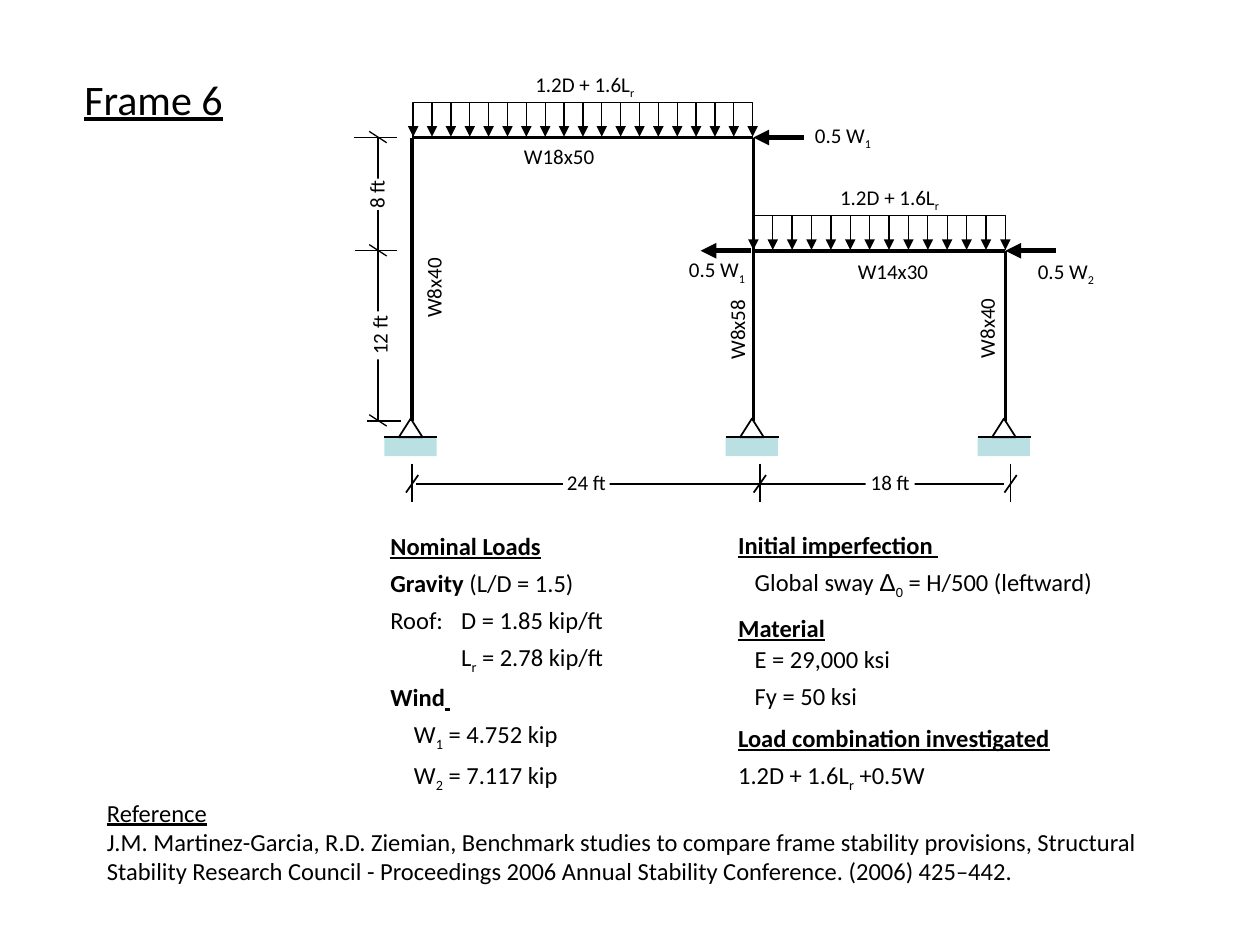
from lxml import etree
from pptx import Presentation
from pptx.dml.color import RGBColor
from pptx.enum import shapes, text
from pptx.oxml.ns import qn
from pptx.util import Pt

COLOURS = {"ink": "000000", "paper": "FFFFFF", "ground": "BBE0E3"}
FONT = "Calibri"
COLUMNS = {"left": 235.5, "middle": 430.5, "right": 574.5}
UPPER_ROOF, LOWER_ROOF, BASE = 78.6, 143.3, 240.5
LOAD_HEIGHT = 19.5
DIMENSION_X, DIMENSION_Y = 216, 276.5


def colour(name):
    return RGBColor.from_string(COLOURS[name])


def add_line(container, x1, y1, x2, y2, width, arrow=False):
    line = container.add_connector(
        shapes.MSO_CONNECTOR.STRAIGHT, Pt(x1), Pt(y1), Pt(x2), Pt(y2))
    line.line.color.rgb = colour("ink")
    line.line.width = Pt(width)
    if arrow:
        etree.SubElement(line.line._get_or_add_ln(), qn("a:tailEnd"), type="triangle")
    etree.SubElement(line._element.spPr, qn("a:effectLst"))
    return line


def add_shape(container, kind, left, top, width, height, fill=None, outline=None):
    shape = container.add_shape(kind, Pt(left), Pt(top), Pt(width), Pt(height))
    shape.shadow.inherit = False
    if fill:
        shape.fill.solid()
        shape.fill.fore_color.rgb = colour(fill)
    else:
        shape.fill.background()
    if outline:
        shape.line.color.rgb = colour("ink")
        shape.line.width = Pt(outline)
    else:
        shape.line.fill.background()
    return shape


def write_paragraph(paragraph, content, size, bold=None, underline=None, line=None,
                    before=None, after=None, indent=0, hanging=0):
    paragraph.font.name = FONT
    paragraph.font.size = Pt(size)
    paragraph.font.color.rgb = colour("ink")
    paragraph.font.bold = bold
    paragraph.font.underline = underline
    paragraph.line_spacing = line
    paragraph.space_before = None if before is None else Pt(before)
    paragraph.space_after = None if after is None else Pt(after)
    if indent:
        properties = paragraph._p.get_or_add_pPr()
        properties.set("marL", str(Pt(indent)))
        properties.set("indent", str(-Pt(hanging)))
    for part in content if isinstance(content, list) else [content]:
        words, style = part if isinstance(part, tuple) else (part, "")
        for index, piece in enumerate(words.split("_")):
            if not piece:
                continue
            run = paragraph.add_run()
            run.text = piece
            if index % 2:
                run.font._element.set("baseline", "-25000")
            if "bold" in style:
                run.font.bold = True
            if "underline" in style:
                run.font.underline = True
            if "symbol" in style:
                run.font.name = "Arial"


def add_text(slide, left, top, width, height, paragraphs, size=12, wrap=True,
             rotation=0, **common):
    box = slide.shapes.add_textbox(Pt(left), Pt(top), Pt(width), Pt(height))
    box.rotation = rotation
    frame = box.text_frame
    frame.word_wrap = wrap
    for index, (content, options) in enumerate(paragraphs):
        paragraph = frame.add_paragraph() if index else frame.paragraphs[0]
        write_paragraph(paragraph, content, size, **{**common, **options})


def add_label(slide, left, top, width, content, rotation=0):
    add_text(slide, left, top, width, 21.8, [(content, {})], wrap=False, rotation=rotation)


def add_dimension_label(slide, left, top, width, content, rotation=0):
    label = add_shape(slide.shapes, shapes.MSO_SHAPE.RECTANGLE,
                      left, top, width, 16, fill="paper")
    label.rotation = rotation
    frame = label.text_frame
    frame.margin_left = frame.margin_right = Pt(0.72)
    frame.margin_top = frame.margin_bottom = Pt(0.72)
    frame.paragraphs[0].alignment = text.PP_ALIGN.CENTER
    write_paragraph(frame.paragraphs[0], content, 12)


def add_title(slide, content):
    title = slide.shapes.title
    title.left, title.top, title.width, title.height = Pt(41), Pt(38.2), Pt(113), Pt(36.3)
    frame = title.text_frame
    frame.auto_size = text.MSO_AUTO_SIZE.NONE
    frame.vertical_anchor = text.MSO_ANCHOR.TOP
    frame.paragraphs[0].alignment = text.PP_ALIGN.LEFT
    write_paragraph(frame.paragraphs[0], content, 24, underline=True)


def add_dimensions(slide):
    add_line(slide.shapes, 237.6, DIMENSION_Y, 573.8, DIMENSION_Y, 1)
    for x in (235.5, 434.2, 577.5):
        add_line(slide.shapes, x, 265, x, 286.6, 1)
        add_line(slide.shapes, x + 3.5, DIMENSION_Y - 5, x - 3.5, DIMENSION_Y + 5, 1)
    add_line(slide.shapes, DIMENSION_X, UPPER_ROOF, DIMENSION_X, BASE, 0.75)
    for y, left, right in ((UPPER_ROOF, 202.5, 227), (LOWER_ROOF, 203, 227), (BASE, 209.5, 229)):
        add_line(slide.shapes, left, y, right, y, 0.75)
        add_line(slide.shapes, DIMENSION_X + 5, y + 3, DIMENSION_X - 5, y - 3.5, 0.75)
    add_dimension_label(slide, 321.8, 267.3, 26.6, "24 ft")
    add_dimension_label(slide, 494.6, 267.3, 28.1, "18 ft")
    add_dimension_label(slide, 203, 183.6, 27.4, "12 ft", 270)
    add_dimension_label(slide, 206, 103, 18, "8 ft ", 270)


def add_distributed_load(slide, left, right, roof, arrows):
    group = slide.shapes.add_group_shape().shapes
    top = roof - LOAD_HEIGHT - 0.5
    add_shape(group, shapes.MSO_SHAPE.RECTANGLE, left, top, right - left,
              LOAD_HEIGHT, outline=0.75)
    gap = (right - left) / (arrows - 1)
    for index in range(arrows):
        x = left + index * gap
        add_line(group, x, top, x, top + LOAD_HEIGHT, 0.75, arrow=True)


def add_support(container, x):
    add_shape(container, shapes.MSO_SHAPE.RECTANGLE, x - 15.8, 249.9, 29.8, 10.8, fill="ground")
    add_shape(container, shapes.MSO_SHAPE.ISOSCELES_TRIANGLE, x - 7.6, 239.2, 13.6, 10.7, outline=1)
    add_line(container, x - 15.8, 249.9, x + 14.4, 249.9, 1)


def add_frame(slide):
    group = slide.shapes.add_group_shape().shapes
    left, middle, right = COLUMNS.values()
    for x, roof in ((left, UPPER_ROOF), (middle, UPPER_ROOF), (right, LOWER_ROOF)):
        add_support(group, x)
        add_line(group, x, BASE, x, roof, 2)
    add_line(group, left, UPPER_ROOF, middle, UPPER_ROOF, 2)
    add_line(group, middle, LOWER_ROOF, right, LOWER_ROOF, 2)


def add_loads(slide):
    left, middle, right = COLUMNS.values()
    add_distributed_load(slide, left + 0.6, middle - 0.4, UPPER_ROOF, 19)
    add_distributed_load(slide, middle, right, LOWER_ROOF, 14)
    for tip, y in ((right, LOWER_ROOF), (400.4, LOWER_ROOF), (middle, UPPER_ROOF)):
        add_line(slide.shapes, tip + 28.8, y, tip, y, 3, arrow=True)
    for left, top in ((298.8, 36), (473, 100.8)):
        add_text(slide, left, top, 76.3, 22.7, [("1.2D + 1.6L_r_", {})], line=1.07, after=3)
    for left, top, content in ((586, 144, "0.5 W_2_"), (458.6, 66.2, "0.5 W_1_"),
                               (386.6, 143.3, "0.5 W_1_")):
        add_label(slide, left, top, 47.5, content)


def add_member_names(slide):
    for left, top, content in ((292.3, 78.5, "W18x50"), (483.1, 144, "W14x30")):
        add_label(slide, left, top, 55.4, content)
    for left, top, content in ((223.2, 153.4, "W8x40"), (396.7, 177.1, "W8x58"),
                               (539.3, 176.4, "W8x40")):
        add_label(slide, left, top, 49, content, 270)


def add_notes_below(slide):
    heading = {"bold": True, "underline": True}
    add_text(slide, 216, 298.8, 189.4, 157, [
        ("Nominal Loads", heading),
        ([("Gravity ", "bold"), "(L/D = 1.5)"], {}),
        ("Roof:\tD = 1.85 kip/ft ", {"indent": 40.5, "hanging": 40.5}),
        ("L_r_ = 2.78 kip/ft", {"indent": 40.5}),
        ([("Wind", "bold"), (" ", "bold underline")], {}),
        ("W_1_ = 4.752 kip", {"indent": 13.5}),
        ("W_2_ = 7.117 kip", {"indent": 13.5}),
    ], size=14, line=1.07, after=3)
    add_text(slide, 414.7, 298.1, 218.2, 159.8, [
        ("Initial imperfection ", {**heading, "before": 6}),
        (["Global sway ", ("Δ", "symbol"), "_0_ = H/500 (leftward)"],
         {"indent": 9.5, "after": 6}),
        ("Material", {**heading, "after": 0}),
        ("E = 29,000 ksi", {"indent": 9.5}),
        ("Fy = 50 ksi", {"indent": 9.5, "after": 6}),
        ("Load combination investigated", heading),
        ("1.2D + 1.6L_r_ +0.5W", {}),
    ], size=14, line=1.07, after=3)
    add_text(slide, 54, 452.2, 632.2, 58.3, [
        ("Reference", {"underline": True}),
        ("J.M. Martinez-Garcia, R.D. Ziemian, Benchmark studies to compare frame stability "
         "provisions, Structural Stability Research Council - Proceedings 2006 Annual "
         "Stability Conference. (2006) 425–442.", {}),
    ], size=14)


def main():
    presentation = Presentation()
    presentation.slide_width, presentation.slide_height = Pt(720), Pt(540)
    slide = presentation.slides.add_slide(presentation.slide_layouts[5])
    add_title(slide, "Frame 6")
    add_dimensions(slide)
    add_frame(slide)
    add_loads(slide)
    add_member_names(slide)
    add_notes_below(slide)
    presentation.save("out.pptx")


main()
